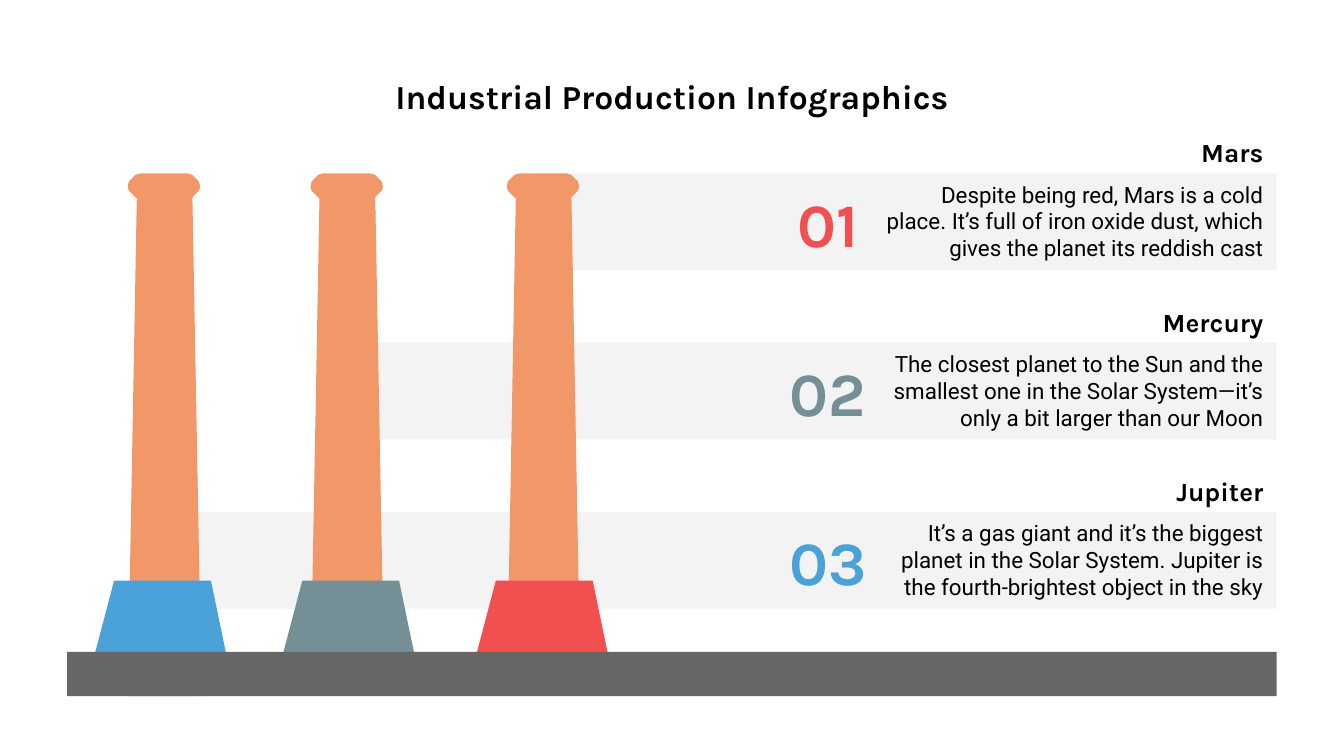
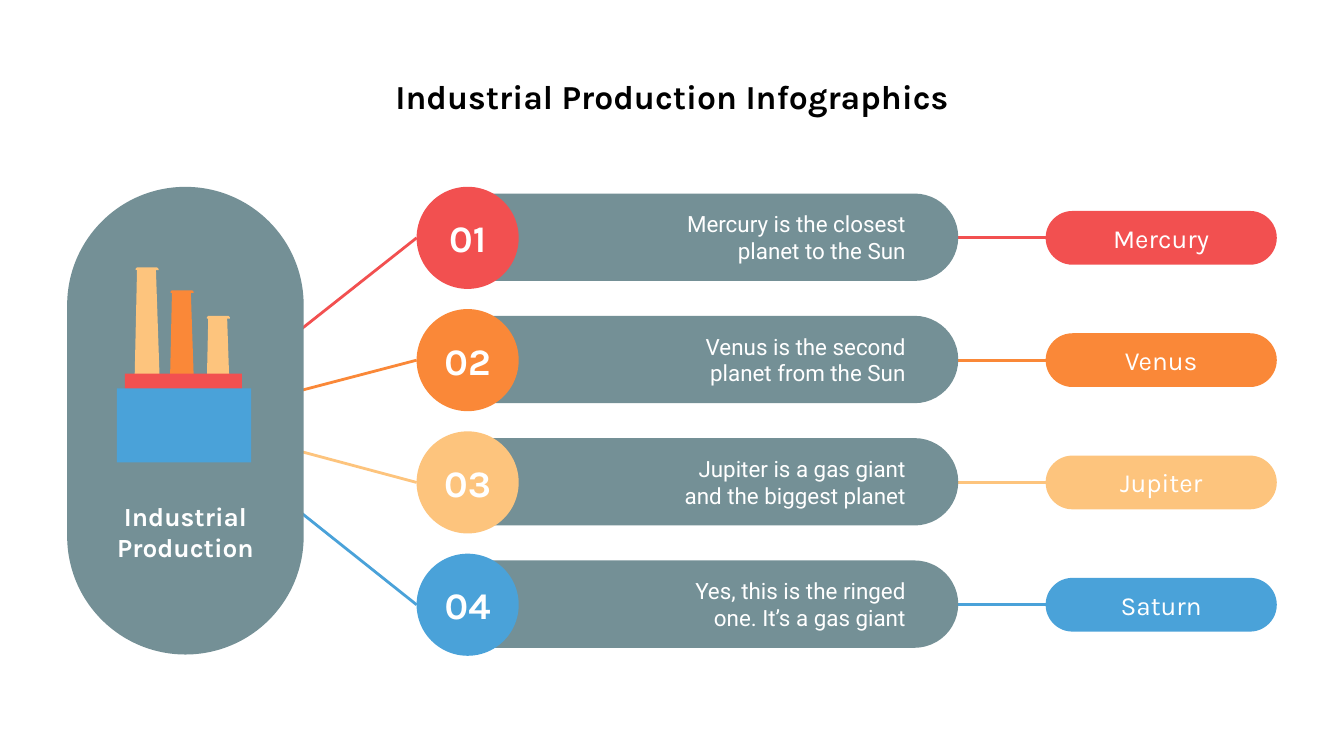
from pptx import Presentation
from pptx import util as u
from pptx.dml.color import RGBColor
from pptx.enum import shapes, text
from pptx.oxml import xmlchemy

PX = 9144

BLACK = RGBColor(0x00, 0x00, 0x00)
WHITE = RGBColor(0xFF, 0xFF, 0xFF)
PALE = RGBColor(0xF3, 0xF3, 0xF3)
GRAY = RGBColor(0x66, 0x66, 0x66)
SLATE = RGBColor(0x74, 0x90, 0x96)
BRICK = RGBColor(0xF2, 0x98, 0x68)
RED = RGBColor(0xF2, 0x50, 0x50)
ORANGE = RGBColor(0xFA, 0x88, 0x38)
SAND = RGBColor(0xFD, 0xC4, 0x7D)
BLUE = RGBColor(0x4A, 0xA2, 0xD9)

HEAD_FONT = "Karla"
BODY_FONT = "Roboto"
TITLE = "Industrial Production Infographics"
CENTER, RIGHT = text.PP_ALIGN.CENTER, text.PP_ALIGN.RIGHT
RECTANGLE = shapes.MSO_SHAPE.RECTANGLE
PILL = shapes.MSO_SHAPE.ROUNDED_RECTANGLE
OVAL = shapes.MSO_SHAPE.OVAL


class Deck:
    def __init__(self):
        self.presentation = Presentation()
        self.presentation.slide_width = u.Emu(1000 * PX)
        self.presentation.slide_height = u.Emu(1000 * PX * 9 // 16)
        self.slide = None

    def lengths(self, *values):
        return [u.Emu(value * PX) for value in values]

    def new_slide(self, title):
        layout = self.presentation.slide_layouts.get_by_name("Title Only")
        self.slide = self.presentation.slides.add_slide(layout)
        shape = self.slide.shapes.title
        shape.left, shape.top, shape.width, shape.height = self.lengths(50, 45, 900, 53)
        self.add_words(shape, title, 18, BLACK, bold=True)

    def add_words(self, shape, words, size, color, align=CENTER, font=HEAD_FONT,
                  bold=False, insets=(10, 10)):
        frame = shape.text_frame
        frame.word_wrap = True
        frame.auto_size = text.MSO_AUTO_SIZE.NONE
        frame.vertical_anchor = text.MSO_ANCHOR.MIDDLE
        frame.margin_left, frame.margin_right = self.lengths(*insets)
        frame.margin_top, frame.margin_bottom = self.lengths(10, 10)
        paragraph = frame.paragraphs[0]
        paragraph.alignment = align
        run = paragraph.add_run()
        run.text = words
        run.font.name = font
        run.font.size = u.Pt(size)
        run.font.bold = bold
        run.font.color.rgb = color

    def label(self, box, words, size, color, **style):
        shape = self.slide.shapes.add_textbox(*self.lengths(*box))
        self.add_words(shape, words, size, color, **style)

    def paint(self, shape, color):
        shape.shadow.inherit = False
        shape.fill.solid()
        shape.fill.fore_color.rgb = color
        shape.line.fill.background()
        return shape

    def block(self, kind, box, color):
        shape = self.slide.shapes.add_shape(kind, *self.lengths(*box))
        if kind == PILL:
            shape.adjustments[0] = 0.5
        return self.paint(shape, color)

    def outline(self, points, color):
        builder = self.slide.shapes.build_freeform(*points[0], scale=PX)
        builder.add_line_segments(points[1:], close=True)
        return self.paint(builder.convert_to_shape(), color)

    def line(self, start, end, color):
        connector = self.slide.shapes.add_connector(
            shapes.MSO_CONNECTOR.STRAIGHT, *self.lengths(*start, *end))
        connector.line.color.rgb = color
        connector.line.width = u.Pt(1.5)
        properties = connector._element.spPr
        properties.append(xmlchemy.OxmlElement("a:effectLst"))

    def group(self, members):
        self.slide.shapes.add_group_shape(members)


def draw_chimney(deck, left, shaft_top, base_left, base_color):
    shaft_bottom = shaft_top + 380
    shaft = [(left + 7, shaft_top), (left, shaft_bottom),
             (left + 55, shaft_bottom), (left + 48, shaft_top)]
    profile = [(10, 0), (6, 1), (4, 3), (1, 6), (0, 10),
               (1, 13), (4, 16), (6, 18), (10, 20)]
    rim = [(left + x, 129 + y) for x, y in profile]
    rim += [(left + 54 - x, 129 + y) for x, y in reversed(profile)]
    base = [(base_left + 14, 432), (base_left, 485),
            (base_left + 97, 485), (base_left + 86, 432)]
    deck.group([deck.outline(shaft, BRICK), deck.outline(rim, BRICK),
                deck.outline(base, base_color)])


def chimneys_slide(deck):
    planets = [
        ("Mars", "Despite being red, Mars is a cold place. It’s full of iron "
         "oxide dust, which gives the planet its reddish cast", 403, RED),
        ("Mercury", "The closest planet to the Sun and the smallest one in the "
         "Solar System—it’s only a bit larger than our Moon", 261, SLATE),
        ("Jupiter", "It’s a gas giant and it’s the biggest planet in the Solar "
         "System. Jupiter is the fourth-brightest object in the sky", 125, BLUE),
    ]
    deck.new_slide(TITLE)
    for row, (name, fact, bar_left, color) in enumerate(planets):
        top = 129 + 126 * row
        deck.block(RECTANGLE, (bar_left, top, 950 - bar_left, 72), PALE)
        deck.label((721, top - 31, 229, 31), name, 14, BLACK, align=RIGHT, bold=True)
        deck.label((645, top + 7, 305, 57), fact, 12, BLACK, align=RIGHT, font=BODY_FONT)
        deck.label((575, top + 5, 82, 63), f"{row + 1:02}", 33, color, bold=True)
    draw_chimney(deck, 95, 138, 71, BLUE)
    draw_chimney(deck, 231, 134, 211, SLATE)
    draw_chimney(deck, 377, 137, 355, RED)
    deck.block(RECTANGLE, (50, 485, 900, 33), GRAY)


def draw_factory(deck):
    parts = []
    for left, top, color in [(100, 200, SAND), (126, 217, ORANGE), (153, 236, SAND)]:
        tower = [(left + 2, top), (left, top + 89), (left + 19, top + 89), (left + 16, top)]
        rim = [(left + 2, top - 1), (left + 1, top), (left + 1, top + 1),
               (left + 18, top + 1), (left + 18, top), (left + 17, top - 1)]
        parts += [deck.outline(tower, color), deck.outline(rim, color)]
    parts.append(deck.block(RECTANGLE, (93, 278, 87, 19), RED))
    parts.append(deck.block(RECTANGLE, (87, 289, 100, 55), BLUE))
    deck.group(parts)


def hub_slide(deck):
    planets = [
        ("Mercury", "Mercury is the closest planet to the Sun", RED),
        ("Venus", "Venus is the second planet from the Sun", ORANGE),
        ("Jupiter", "Jupiter is a gas giant and the biggest planet", SAND),
        ("Saturn", "Yes, this is the ringed one. It’s a gas giant", BLUE),
    ]
    deck.new_slide(TITLE)
    for row, (name, fact, color) in enumerate(planets):
        top = 139 + 91 * row
        middle = top + 38
        tag = deck.block(PILL, (778, top + 18, 172, 40), color)
        deck.add_words(tag, name, 14, WHITE)
        deck.line((694, middle), (778, middle), color)
        deck.block(PILL, (321, top + 5, 392, 65), SLATE)
        deck.label((438, top + 15, 256, 45), fact, 12, WHITE, align=RIGHT,
                   font=BODY_FONT, insets=(60, 20))
        deck.line((138, 313), (310, middle), color)
        circle = deck.block(OVAL, (310, top, 76, 76), color)
        deck.add_words(circle, f"{row + 1:02}", 20, WHITE, bold=True, insets=(0, 0))
    deck.block(PILL, (50, 139, 176, 348), SLATE)
    deck.label((64, 363, 148, 65), "Industrial Production", 14, WHITE, bold=True)
    draw_factory(deck)


def main():
    deck = Deck()
    chimneys_slide(deck)
    hub_slide(deck)
    deck.presentation.save("out.pptx")


if __name__ == "__main__":
    main()
